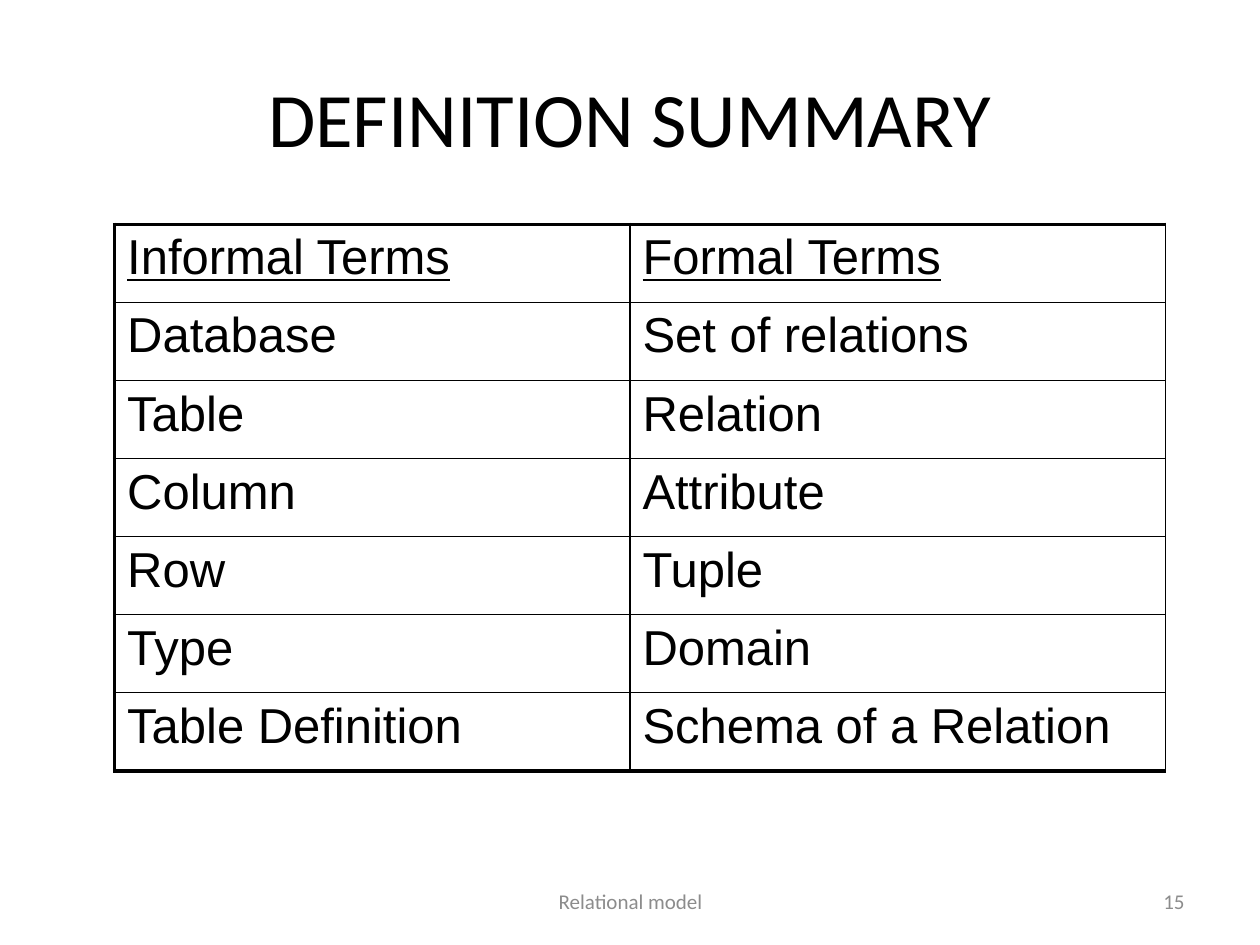
from lxml import etree
from pptx import Presentation
from pptx.dml.color import RGBColor
from pptx.enum import text
from pptx.oxml import ns
from pptx.util import Inches, Pt

BLACK, GRAY = "000000", "8C8C8C"
THIN, THICK = 1, 2.25
ROW_HEIGHT = 0.62
COLUMN_WIDTHS = (4.09, 4.25)
TERMS = [
    ("Informal Terms", "Formal Terms"),
    ("Database", "Set of relations"),
    ("Table", "Relation"),
    ("Column", "Attribute"),
    ("Row", "Tuple"),
    ("Type", "Domain"),
    ("Table Definition", "Schema of a Relation"),
]


def format_run(r, size, font, color):
    r.font.size = Pt(size)
    r.font.name = font
    r.font.color.rgb = RGBColor.from_string(color)


def add_label(slide, box, label, size, color, align):
    sp = slide.shapes.add_textbox(*map(Inches, box))
    tf = sp.text_frame
    tf.word_wrap = True
    tf.vertical_anchor = text.MSO_ANCHOR.MIDDLE
    tf.text = label
    p = tf.paragraphs[0]
    p.alignment = align
    format_run(p.runs[0], size, "Calibri", color)


def set_borders(cell, widths):
    """Draw the left, right, top and bottom borders, with widths in points."""
    tc_pr = cell._tc.get_or_add_tcPr()
    for side, width in zip("LRTB", widths):
        ln = etree.SubElement(tc_pr, ns.qn(f"a:ln{side}"), w=str(Pt(width)))
        fill = etree.SubElement(ln, ns.qn("a:solidFill"))
        etree.SubElement(fill, ns.qn("a:srgbClr"), val=BLACK)


def fill_cell(cell, term, is_header):
    cell.text = term
    p = cell.text_frame.paragraphs[0]
    p.space_before = Pt(5.6)
    r = p.runs[0]
    format_run(r, 28, "Arial", BLACK)
    r.font.bold = False
    if is_header:
        r.font.underline = True


def add_terms_table(slide, left, top):
    last = len(TERMS) - 1
    frame = slide.shapes.add_table(
        len(TERMS), len(COLUMN_WIDTHS), Inches(left), Inches(top),
        Inches(sum(COLUMN_WIDTHS)), Inches(ROW_HEIGHT * len(TERMS)))
    table = frame.table
    table.first_row = table.horz_banding = False
    for column, width in zip(table.columns, COLUMN_WIDTHS):
        column.width = Inches(width)
    for i, terms in enumerate(TERMS):
        table.rows[i].height = Inches(ROW_HEIGHT)
        for j, term in enumerate(terms):
            cell = table.cell(i, j)
            fill_cell(cell, term, i == 0)
            set_borders(cell, (THICK if j == 0 else THIN, THIN,
                               THICK if i == 0 else THIN,
                               THICK if i == last else THIN))
            cell.fill.background()


def main():
    prs = Presentation()
    prs.slide_width, prs.slide_height = Inches(10), Inches(7.5)
    slide = prs.slides.add_slide(prs.slide_layouts[6])
    align = text.PP_ALIGN
    add_label(slide, (0.5, 0.3, 9, 1.25), "DEFINITION SUMMARY", 44, BLACK, align.CENTER)
    add_terms_table(slide, 0.91, 1.78)
    add_label(slide, (7.17, 6.95, 2.33, 0.4), "15", 12, GRAY, align.RIGHT)
    add_label(slide, (3.42, 6.95, 3.17, 0.4), "Relational model", 12, GRAY, align.CENTER)
    prs.save("out.pptx")


if __name__ == "__main__":
    main()
